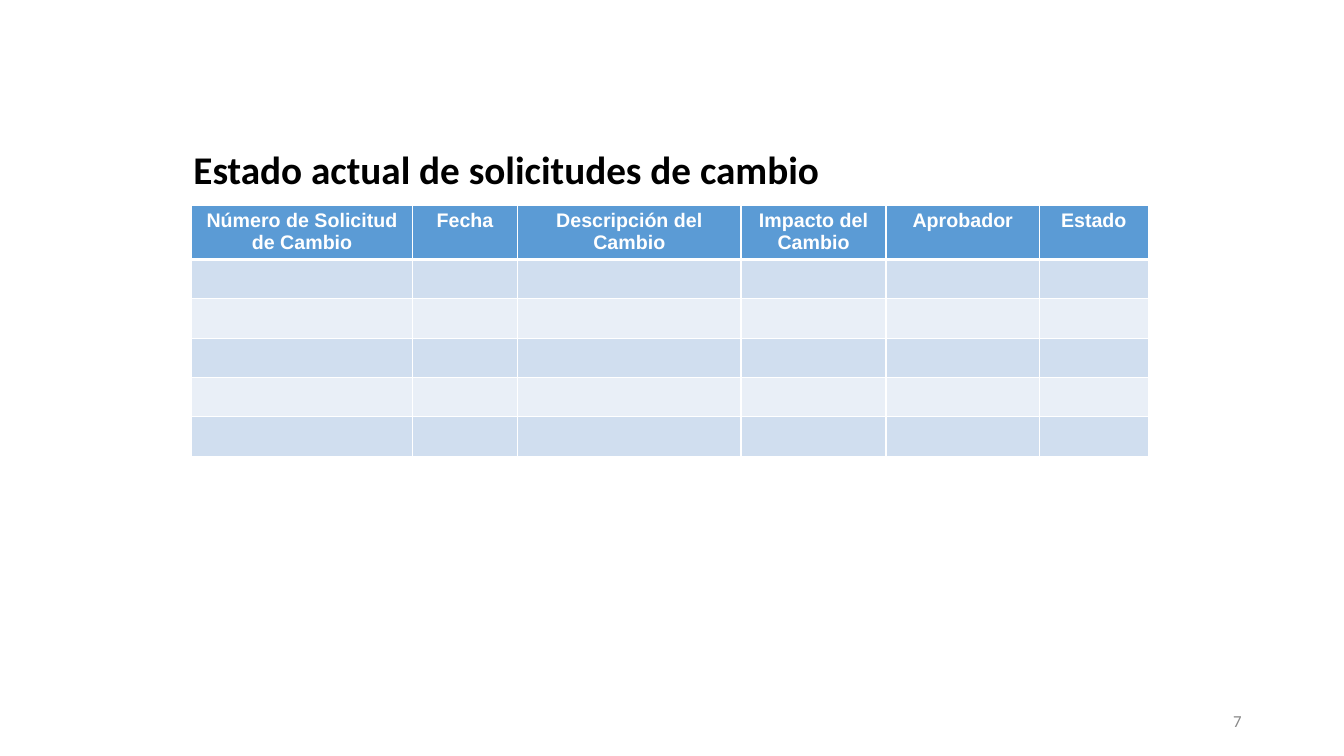
from lxml import etree
from pptx import Presentation
from pptx.dml.color import RGBColor
from pptx.enum.text import MSO_ANCHOR, MSO_AUTO_SIZE, PP_ALIGN
from pptx.oxml.ns import qn
from pptx.util import Pt

# Content
TITLE = "Estado actual de solicitudes de cambio"
PAGE = "7"
COLUMNS = [  # heading, width
    ("Número de Solicitud de Cambio", 157.6),
    ("Fecha", 75.2),
    ("Descripción del Cambio", 159.6),
    ("Impacto del Cambio", 103.6),
    ("Aprobador", 109.6),
    ("Estado", 77.6),
]
BODY_ROWS = 5

# Layout in points
TABLE_LEFT, TABLE_TOP = 137, 146.4
HEADER_H, ROW_H = 39, 28.1

WHITE = RGBColor(0xFF, 0xFF, 0xFF)
BLACK = RGBColor(0x00, 0x00, 0x00)
GREY = RGBColor(0x88, 0x88, 0x88)
BLUE = RGBColor(0x5B, 0x9B, 0xD5)
BANDS = [RGBColor(0xD0, 0xDE, 0xEF), RGBColor(0xE9, 0xEF, 0xF7)]


def add_run(p, text, font, size, color, bold=False):
    r = p.add_run()
    r.text = text
    r.font.name, r.font.size, r.font.bold = font, Pt(size), bold
    r.font.color.rgb = color


def place(sp, left, top, width, height):
    sp.left, sp.top, sp.width, sp.height = map(Pt, (left, top, width, height))
    tf = sp.text_frame
    tf.word_wrap = True
    tf.auto_size = MSO_AUTO_SIZE.NONE
    tf.vertical_anchor = MSO_ANCHOR.MIDDLE
    return tf.paragraphs[0]


def set_borders(cell, **widths):
    """Draw white borders; they must precede the fill in the cell XML."""
    tcPr = cell._tc.get_or_add_tcPr()
    for i, (side, width) in enumerate(widths.items()):
        ln = etree.Element(qn(f"a:ln{side}"), w=str(Pt(width)))
        fill = etree.SubElement(ln, qn("a:solidFill"))
        etree.SubElement(fill, qn("a:srgbClr"), val=str(WHITE))
        tcPr.insert(i, ln)


prs = Presentation()
prs.slide_width, prs.slide_height = Pt(960), Pt(540)
s = prs.slides.add_slide(prs.slide_layouts[5])

# Title
p = place(s.shapes.title, 131, 106.6, 612, 28)
p.alignment = PP_ALIGN.LEFT
add_run(p, TITLE, "Calibri", 28, BLACK, bold=True)

# Page number
p = place(s.shapes.add_textbox(0, 0, 0, 0), 678, 500.5, 216, 28.8)
p.alignment = PP_ALIGN.RIGHT
add_run(p, PAGE, "Calibri", 12, GREY)

# Table of change requests
table_w = sum(width for _, width in COLUMNS)
table_h = HEADER_H + BODY_ROWS * ROW_H
table = s.shapes.add_table(BODY_ROWS + 1, len(COLUMNS), Pt(TABLE_LEFT),
                           Pt(TABLE_TOP), Pt(table_w), Pt(table_h)).table
for row_no, row in enumerate(table.rows):
    is_header = row_no == 0
    row.height = Pt(HEADER_H if is_header else ROW_H)
    for col_no, (heading, width) in enumerate(COLUMNS):
        table.columns[col_no].width = Pt(width)
        cell = table.cell(row_no, col_no)
        cell.fill.solid()
        cell.fill.fore_color.rgb = BLUE if is_header else BANDS[(row_no - 1) % 2]
        set_borders(cell, L=1, R=1, T=3 if row_no == 1 else 1, B=3 if is_header else 1)
        if is_header:
            p = cell.text_frame.paragraphs[0]
            p.alignment = PP_ALIGN.CENTER
            add_run(p, heading, "Arial", 14, WHITE, bold=True)
        else:
            cell.margin_top = cell.margin_bottom = Pt(2)

prs.save("out.pptx")
